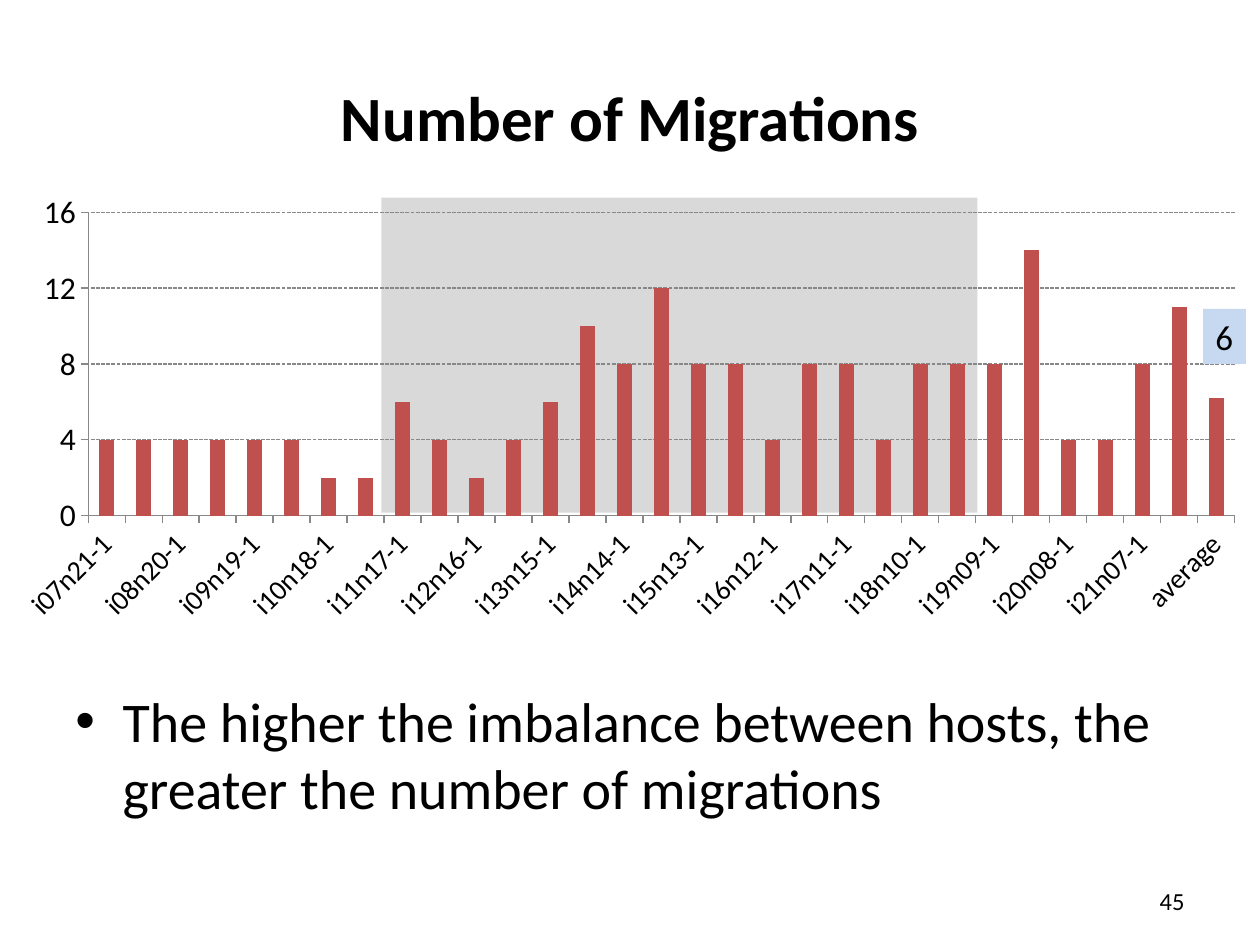
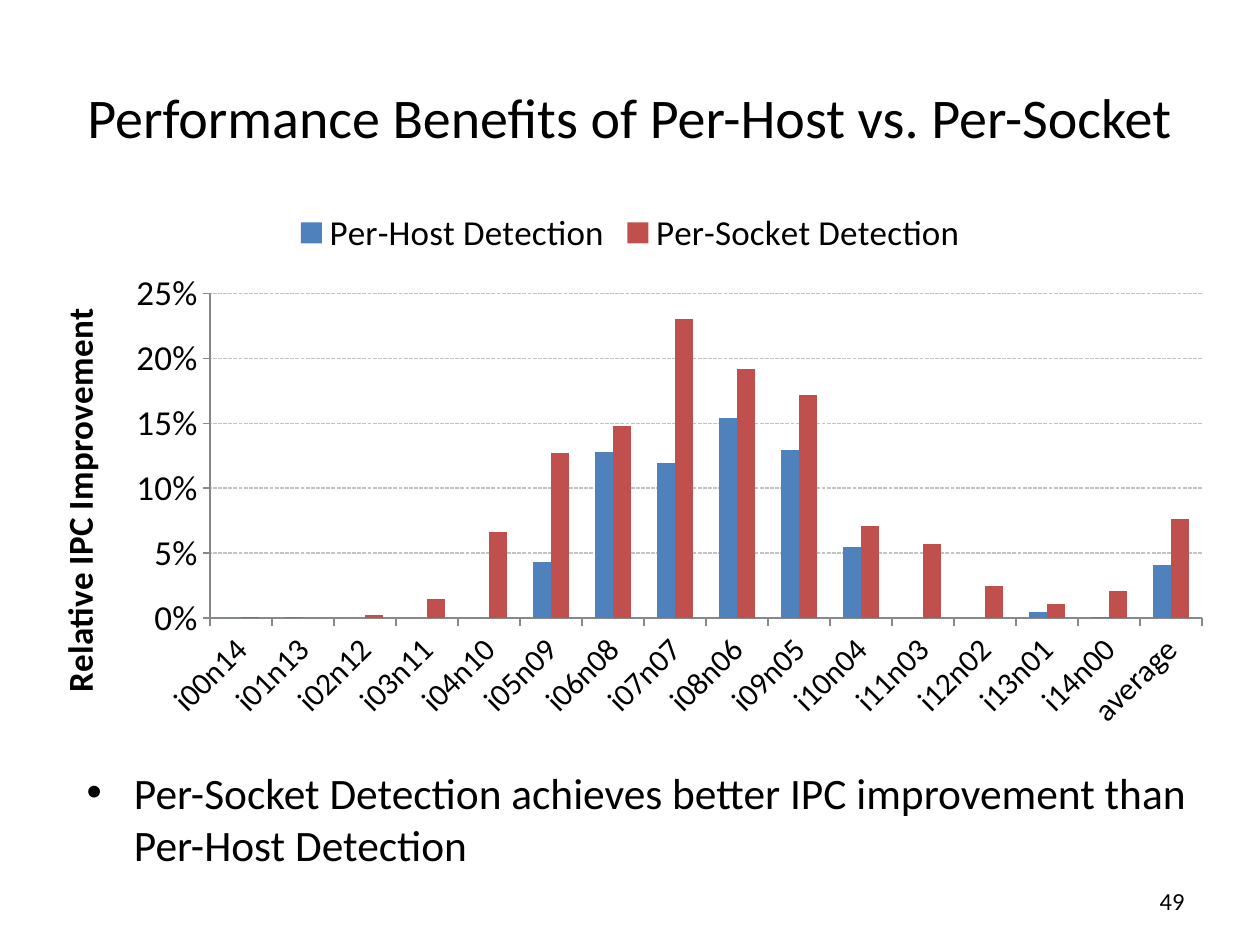
"""Build two slides that compare migrations and IPC improvement per host."""
from dataclasses import dataclass

from lxml.etree import SubElement
from pptx import Presentation
from pptx.chart.data import CategoryChartData
from pptx.dml.color import RGBColor as Color
from pptx.enum.chart import XL_CHART_TYPE as ChartType
from pptx.enum.chart import XL_LEGEND_POSITION as LegendPosition
from pptx.enum.chart import XL_TICK_MARK as TickMark
from pptx.enum.dml import MSO_LINE as LineStyle
from pptx.enum.shapes import MSO_SHAPE as Preset
from pptx.enum.text import MSO_ANCHOR as Anchor
from pptx.enum.text import PP_ALIGN as Align
from pptx.oxml import parse_xml
from pptx.oxml.ns import nsdecls, qn
from pptx.util import Pt


@dataclass(frozen=True)
class Theme:
    font: str = "Calibri"
    black: Color = Color.from_string("000000")
    axis: Color = Color.from_string("888888")
    pale_grid: Color = Color.from_string("C3C3C3")
    blue: Color = Color.from_string("4F81BD")
    red: Color = Color.from_string("C0504D")
    band: Color = Color.from_string("D9D9D9")
    badge: Color = Color.from_string("C6D9F1")
    number_size: int = 14
    label_size: int = 20


def style_font(font, size, bold=False):
    formats = {"name": theme.font, "size": Pt(size), "bold": bold}
    for name, value in formats.items():
        setattr(font, name, value)
    font.color.rgb = theme.black


def write(box, text, size, bold=False, align=Align.LEFT, anchor=Anchor.TOP, wrap=True):
    frame = box.text_frame
    for name, value in {"word_wrap": wrap, "vertical_anchor": anchor}.items():
        setattr(frame, name, value)
    para = frame.paragraphs[0]
    para.alignment = align
    span = para.add_run()
    span.text = text
    style_font(span.font, size, bold)
    return para


theme = Theme()
number_box = (516, 500.5, 168, 28.5)
bullet_indent = Pt(27)

pages = [
    {
        "title": ("Number of Migrations", 36, True),
        "title_box": (0, 21.6, 720, 90),
        "chart_box": (0, 106, 720, 255),
        "plot": {"x": 0.07, "y": 0.06, "w": 0.91, "h": 0.68},
        "categories": [f"i{i:02}n{28 - i:02}-{k}" for i in range(7, 22) for k in (1, 2)],
        "series": [
            ("Series 1", theme.red,
             [4, 4, 4, 4, 4, 4, 2, 2, 6, 4, 2, 4, 6, 10, 8, 12,
              8, 8, 4, 8, 8, 4, 8, 8, 8, 14, 4, 4, 8, 11, 6.2]),
        ],
        "scale": {"minimum_scale": 0, "maximum_scale": 16, "major_unit": 4},
        "format": "General",
        "sizes": (16, 18),
        "grid": theme.axis,
        "label_skip": 2,
        "axis_title": None,
        "bullet": ("The higher the imbalance between hosts, "
                   "the greater the number of migrations", 32),
        "bullet_box": (36, 388.8, 648, 142),
        "band": (218, 113, 340.5, 180),
        "badge": ("6", (687.5, 176.5, 24.5, 31.5)),
        "number": "45",
    },
    {
        "title": ("Performance Benefits of Per-Host vs. Per-Socket", 32, False),
        "title_box": (36, 21.6, 648, 90),
        "chart_box": (20, 111.5, 680.5, 312),
        "plot": {"x": 0.147, "y": 0.18, "w": 0.833, "h": 0.595},
        "categories": [f"i{i:02}n{14 - i:02}" for i in range(15)],
        "series": [
            ("Per-Host Detection", theme.blue,
             [0, 0.001, -0.003, -0.005, 0, 0.043, 0.128, 0.119,
              0.154, 0.129, 0.055, -0.004, -0.001, 0.005, 0.001, 0.041]),
            ("Per-Socket Detection", theme.red,
             [0.001, -0.001, 0.002, 0.015, 0.066, 0.127, 0.148, 0.23,
              0.192, 0.172, 0.071, 0.057, 0.025, 0.011, 0.021, 0.076]),
        ],
        "scale": {"minimum_scale": 0, "maximum_scale": 0.25, "major_unit": 0.05},
        "format": "0%",
        "sizes": (18, 20),
        "grid": theme.pale_grid,
        "label_skip": 1,
        "axis_title": "Relative IPC Improvement",
        "bullet": ("Per-Socket Detection achieves better IPC improvement "
                   "than Per-Host Detection", 24.8),
        "bullet_box": (42.5, 434, 648, 57),
        "band": None,
        "badge": None,
        "number": "49",
    },
]

deck = Presentation()
deck.slide_width, deck.slide_height = Pt(720), Pt(540)

for content in pages:
    page = deck.slides.add_slide(deck.slide_layouts[5])
    shapes = page.shapes

    title = shapes.title
    for name, value in zip(("left", "top", "width", "height"), content["title_box"]):
        setattr(title, name, Pt(value))
    text, size, bold = content["title"]
    write(title, text, size, bold, Align.CENTER, Anchor.MIDDLE)

    if content["band"]:
        band = shapes.add_shape(Preset.RECTANGLE, *map(Pt, content["band"]))
        band.shadow.inherit = False
        band.fill.solid()
        band.fill.fore_color.rgb = theme.band
        band.line.fill.background()

    data = CategoryChartData(number_format=content["format"])
    data.categories = content["categories"] + ["average"]
    for name, color, values in content["series"]:
        data.add_series(name, values)
    chart = shapes.add_chart(
        ChartType.COLUMN_CLUSTERED, *map(Pt, content["chart_box"]), data).chart
    category_size, value_size = content["sizes"]
    style_font(chart.font, value_size)
    chart.has_title = False
    chart.has_legend = len(content["series"]) > 1
    if chart.has_legend:
        chart.legend.position = LegendPosition.TOP
        chart.legend.include_in_layout = False
        style_font(chart.legend.font, theme.label_size)

    plot = chart.plots[0]
    for name, value in {"gap_width": 150, "overlap": 0, "vary_by_categories": False}.items():
        setattr(plot, name, value)
    for series, (name, color, values) in zip(plot.series, content["series"]):
        series.invert_if_negative = False
        series.format.fill.solid()
        series.format.fill.fore_color.rgb = color

    across, upright = chart.category_axis, chart.value_axis
    for axis, size in ((across, category_size), (upright, value_size)):
        axis.major_tick_mark = TickMark.OUTSIDE
        axis.minor_tick_mark = TickMark.NONE
        axis.format.line.color.rgb = theme.axis
        axis.format.line.width = Pt(0.75)
        style_font(axis.tick_labels.font, size)
    for name, value in content["scale"].items():
        setattr(upright, name, value)
    upright.tick_labels.number_format = content["format"]
    upright.tick_labels.number_format_is_linked = False
    upright.has_major_gridlines = True
    grid = upright.major_gridlines.format.line
    grid.color.rgb = content["grid"]
    grid.width = Pt(0.75)
    grid.dash_style = LineStyle.SQUARE_DOT
    if content["axis_title"]:
        para = upright.axis_title.text_frame.paragraphs[0]
        span = para.add_run()
        span.text = content["axis_title"]
        style_font(span.font, theme.label_size, True)

    across_xml = across._element
    across_xml.find(qn("c:txPr")).find(qn("a:bodyPr")).set("rot", "-2700000")
    skip = parse_xml(f'<c:tickLblSkip {nsdecls("c")} val="{content["label_skip"]}"/>')
    across_xml.find(qn("c:noMultiLvlLbl")).addprevious(skip)

    clear = f'<c:spPr {nsdecls("c", "a")}><a:noFill/><a:ln><a:noFill/></a:ln></c:spPr>'
    chart_xml = chart._chartSpace.find(qn("c:chart"))
    chart_xml.addnext(parse_xml(clear))
    area = chart_xml.find(qn("c:plotArea"))
    area.append(parse_xml(clear))
    for old in area.findall(qn("c:layout")):
        area.remove(old)
    layout = parse_xml(f'<c:layout {nsdecls("c")}><c:manualLayout/></c:layout>')
    manual = layout[0]
    settings = {"layoutTarget": "inner", "xMode": "edge", "yMode": "edge", **content["plot"]}
    for name, value in settings.items():
        SubElement(manual, qn(f"c:{name}")).set("val", str(value))
    area.insert(0, layout)

    text, size = content["bullet"]
    box = shapes.add_textbox(*map(Pt, content["bullet_box"]))
    para = write(box, text, size)
    para.space_before = Pt(round(size * 0.2))
    properties = para._p.get_or_add_pPr()
    for name, value in {"marL": bullet_indent, "indent": -bullet_indent}.items():
        properties.set(name, str(int(value)))
    SubElement(properties, qn("a:buFont")).set("typeface", "Arial")
    SubElement(properties, qn("a:buChar")).set("char", "•")

    if content["badge"]:
        text, place = content["badge"]
        badge = shapes.add_textbox(*map(Pt, place))
        badge.fill.solid()
        badge.fill.fore_color.rgb = theme.badge
        write(badge, text, theme.label_size, wrap=False)

    number = shapes.add_textbox(*map(Pt, number_box))
    write(number, content["number"], theme.number_size, align=Align.RIGHT, anchor=Anchor.MIDDLE)

deck.save("out.pptx")
